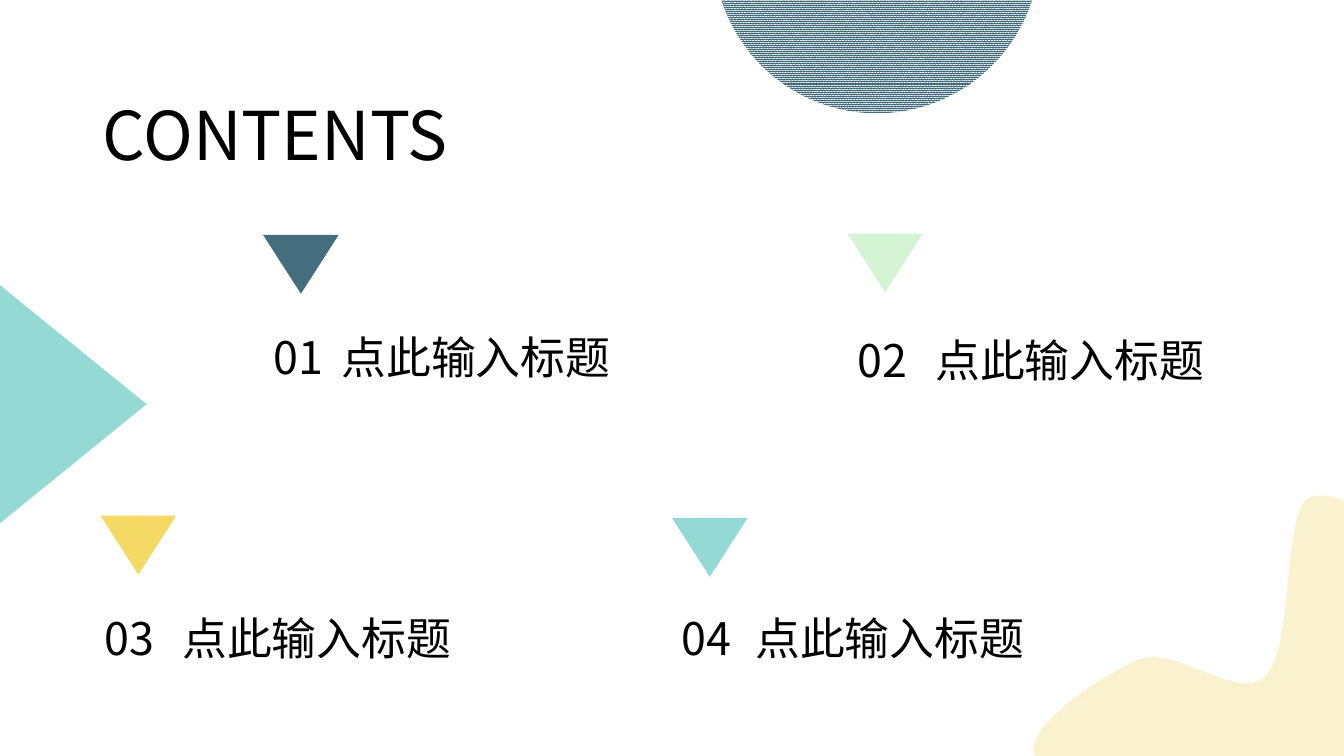
from lxml import etree
from pptx import Presentation
from pptx.dml.color import RGBColor
from pptx.enum.dml import MSO_PATTERN
from pptx.enum.shapes import MSO_SHAPE
from pptx.enum.text import MSO_AUTO_SIZE
from pptx.oxml.ns import qn
from pptx.util import Pt

TRIANGLE = MSO_SHAPE.ISOSCELES_TRIANGLE
OVAL = MSO_SHAPE.OVAL
DENSE_PATTERN = MSO_PATTERN.PERCENT_90
FIT_SHAPE = MSO_AUTO_SIZE.SHAPE_TO_FIT_TEXT

FONT = "Noto Sans CJK SC"
BLACK = RGBColor(0x00, 0x00, 0x00)
WHITE = RGBColor(0xFF, 0xFF, 0xFF)
SLATE = RGBColor(0x44, 0x6E, 0x7E)
MINT = RGBColor(0xD5, 0xF4, 0xD3)
YELLOW = RGBColor(0xF4, 0xD9, 0x64)
TEAL = RGBColor(0x94, 0xD9, 0xD4)
CREAM = RGBColor(0xFA, 0xF1, 0xCE)

# number, colour, triangle (x, y), number x, label x, text y
ITEMS = [
    ("01", SLATE, (187.9, 167.8), 188.2, 236.9, 231.8),
    ("02", MINT, (605.2, 166.8), 605.5, 661, 234),
    ("03", YELLOW, (71.8, 368.4), 67.7, 123.1, 432.7),
    ("04", TEAL, (480, 370), 480, 532.4, 432.7),
]

# Frame of the blob: left, top, width, height
BLOB_FRAME = (738, 354.2, 277.9, 236.2)
# Each curve: two control points and an end point
BLOB_START = (745.2, 546.5)
BLOB_CURVES = [
    ((715.7, 527.8), (787.7, 481.7), (813.6, 470.9)),
    ((840.2, 460.8), (884.2, 501.8), (903.6, 483.1)),
    ((923.8, 464.4), (916.6, 370.1), (933.1, 357.1)),
    ((949.7, 344.9), (994.3, 370.1), (1003.7, 407.5)),
    ((1013, 445.7), (1032.5, 559.4), (989.3, 583.2)),
    ((946.1, 606.2), (774, 565.2), BLOB_START),
]


def add_text(s, text, x, y, w, h, size):
    tf = s.shapes.add_textbox(Pt(x), Pt(y), Pt(w), Pt(h)).text_frame
    tf.word_wrap = True
    tf.auto_size = FIT_SHAPE
    tf.text = text
    r = tf.paragraphs[0].runs[0]
    r.font.size = Pt(size)
    r.font.color.rgb = BLACK
    r.font.name = FONT
    # East Asian typeface
    etree.SubElement(r.font._element, qn("a:ea"), typeface=FONT)


def paint(sp, color):
    sp.shadow.inherit = False
    sp.line.fill.background()
    sp.fill.solid()
    sp.fill.fore_color.rgb = color


def add_preset(s, kind, x, y, w, h, color, rotation=0):
    sp = s.shapes.add_shape(kind, Pt(x), Pt(y), Pt(w), Pt(h))
    sp.rotation = rotation
    paint(sp, color)
    return sp


def add_blob(s, frame, start, curves, color):
    x, y, w, h = frame
    builder = s.shapes.build_freeform(Pt(x), Pt(y))
    builder.add_line_segments([(Pt(x + w), Pt(y)), (Pt(x + w), Pt(y + h)),
                               (Pt(x), Pt(y + h))])
    sp = builder.convert_to_shape()
    paint(sp, color)

    # Swap the frame's straight edges for Bezier curves
    outline = next(sp._element.iter(qn("a:path")))
    for edge in list(outline):
        outline.remove(edge)
    segments = [("a:moveTo", [start])] + [("a:cubicBezTo", c) for c in curves]
    for tag, points in segments:
        segment = etree.SubElement(outline, qn(tag))
        for px, py in points:
            etree.SubElement(segment, qn("a:pt"),
                             x=str(Pt(px - x)), y=str(Pt(py - y)))
    etree.SubElement(outline, qn("a:close"))


def add_item(s, number, color, marker, number_x, label_x, text_y):
    add_preset(s, TRIANGLE, *marker, 54, 42, color, 180)
    add_text(s, number, number_x, text_y, 59.8, 46, 32)
    add_text(s, "点此输入标题", label_x, text_y, 247, 46, 32)


def main():
    prs = Presentation()
    prs.slide_width, prs.slide_height = Pt(960), Pt(540)
    s = prs.slides.add_slide(prs.slide_layouts[6])

    # Heading and entries
    add_text(s, "CONTENTS", 66.2, 63.4, 283, 65.5, 48)
    for item in ITEMS:
        add_item(s, *item)

    # Edge decorations
    add_blob(s, BLOB_FRAME, BLOB_START, BLOB_CURVES, CREAM)
    circle = add_preset(s, OVAL, 509.7, -152.2, 233.1, 233.1, SLATE)
    circle.fill.patterned()
    circle.fill.pattern = DENSE_PATTERN
    circle.fill.fore_color.rgb = SLATE
    circle.fill.back_color.rgb = WHITE
    add_preset(s, TRIANGLE, -33.1, 236.2, 170.6, 105.1, TEAL, 90)

    prs.save("out.pptx")


if __name__ == "__main__":
    main()
